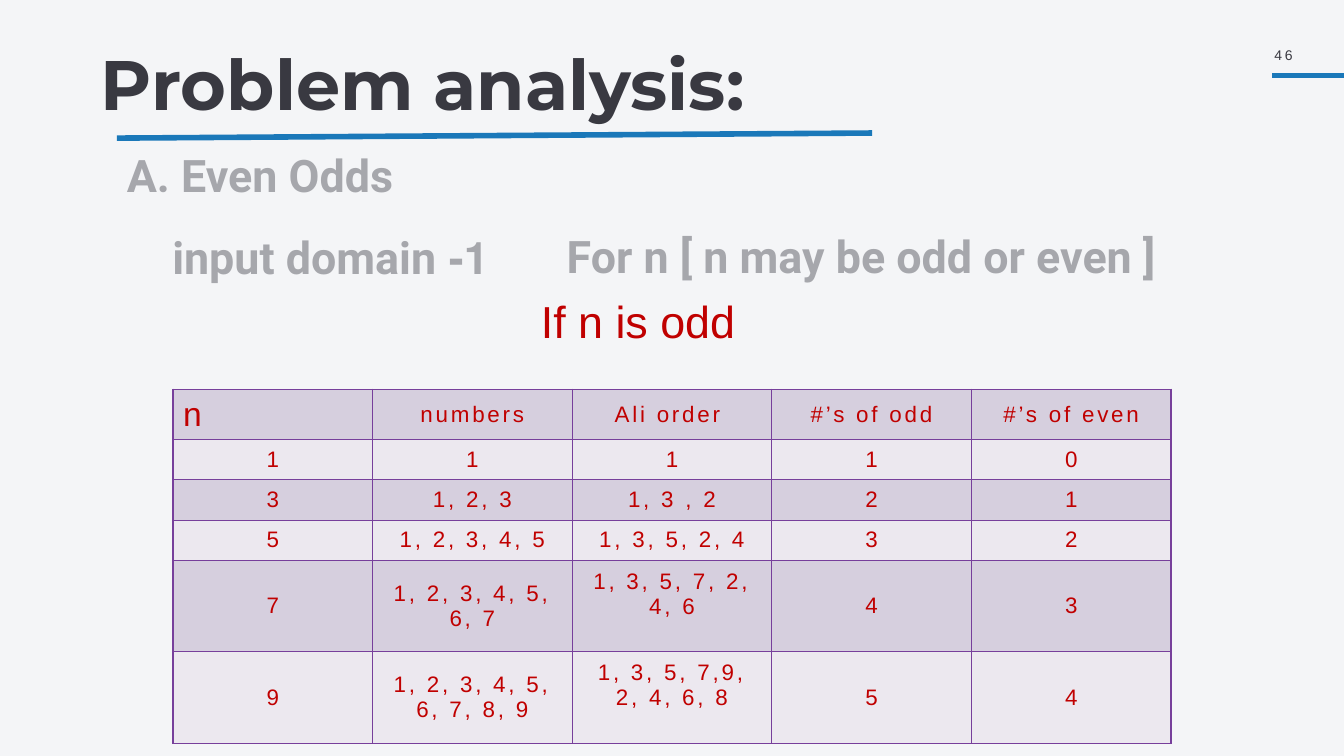
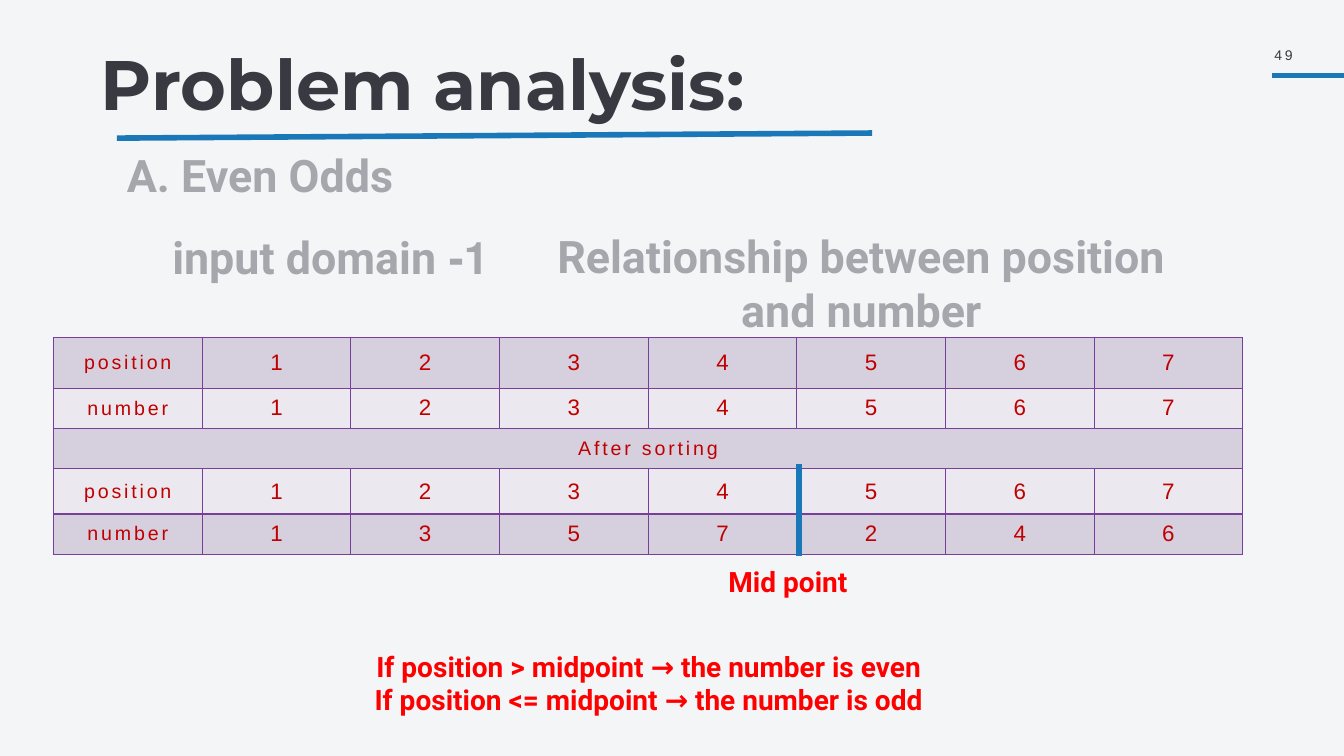
import dataclasses

import lxml.etree
import pptx
import pptx.dml.color
import pptx.enum.shapes
import pptx.enum.text
import pptx.oxml.ns
import pptx.util

ALIGN = pptx.enum.text.PP_ALIGN
ANCHOR = pptx.enum.text.MSO_ANCHOR
HEIGHT = pptx.util.Inches(7.5)
WIDTH = HEIGHT * 16 // 9
BLANK = 6


@dataclasses.dataclass(frozen=True)
class Style:
    name: str
    size: int
    color: str
    bold: bool = False
    spacing: int = 0


@dataclasses.dataclass(frozen=True)
class Theme:
    back: str = "F4F5F7"
    accent: str = "1A78B9"
    border: str = "773F9B"
    bands: tuple = ("D6CFDE", "ECE8EF")
    rule: int = 4
    title: Style = Style("Montserrat", 50, "393941", bold=True)
    number: Style = Style("Arial", 10, "393941", spacing=2)
    heading: Style = Style("Roboto", 32, "A6A7AC", bold=True)
    case: Style = Style("Arial", 32, "C00000")
    note: Style = Style("Roboto", 20, "FF0000", bold=True)
    cell: Style = Style("Arial", 16, "C00000", spacing=2)
    label: Style = Style("Arial", 14, "C00000", spacing=2)
    corner: Style = Style("Arial", 24, "C00000", spacing=2)


THEME = Theme()


def x(share):
    """Length for a percentage of the slide's width."""
    return round(WIDTH * share / 100)


def y(share):
    """Length for a percentage of the slide's height."""
    return round(HEIGHT * share / 100)


def rgb(color):
    return pptx.dml.color.RGBColor.from_string(color)


def set_all(obj, values):
    for name, value in values.items():
        setattr(obj, name, value)


def write(tf, lines, style, align=ALIGN.CENTER, rtl=False):
    for i, line in enumerate(lines):
        p = tf.add_paragraph() if i else tf.paragraphs[0]
        p.alignment = align
        if rtl:
            p._p.get_or_add_pPr().set("rtl", "1")
        r = p.add_run()
        r.text = line
        set_all(r.font, {"name": style.name, "bold": style.bold,
                         "size": pptx.util.Pt(style.size)})
        r.font.color.rgb = rgb(style.color)
        if style.spacing:
            r._r.get_or_add_rPr().set("spc", str(style.spacing * 100))


def add_text(slide, box, lines, style, inset=None, **layout):
    left, top, width, height = box
    tf = slide.shapes.add_textbox(x(left), y(top), x(width), y(height)).text_frame
    tf.word_wrap = True
    if inset is not None:
        sides = ("left", "top", "right", "bottom")
        set_all(tf, {f"margin_{side}": pptx.util.Inches(inset) for side in sides})
    write(tf, lines, style, **layout)
    return tf


def add_rule(slide, start, end):
    cn = slide.shapes.add_connector(
        pptx.enum.shapes.MSO_CONNECTOR.STRAIGHT,
        x(start[0]), y(start[1]), x(end[0]), y(end[1]))
    cn.line.color.rgb = rgb(THEME.accent)
    cn.line.width = pptx.util.Pt(THEME.rule)
    lxml.etree.SubElement(cn._element.spPr, pptx.oxml.ns.qn("a:effectLst"))


def add_borders(cell):
    qn = pptx.oxml.ns.qn
    tc_pr = cell._tc.get_or_add_tcPr()
    for i, side in enumerate(("lnL", "lnR", "lnT", "lnB")):
        ln = tc_pr.makeelement(qn(f"a:{side}"), {"w": str(pptx.util.Pt(1))})
        fill = lxml.etree.SubElement(ln, qn("a:solidFill"))
        lxml.etree.SubElement(fill, qn("a:srgbClr"), val=THEME.border)
        tc_pr.insert(i, ln)


def add_grid(slide, box, heights, rows, style_of):
    """Banded table with equal columns; a row of one text spans them all."""
    left, top, width = box
    n_cols = len(rows[0])
    table = slide.shapes.add_table(
        len(rows), n_cols, x(left), y(top), x(width), y(sum(heights))).table
    set_all(table, {"first_row": False, "horz_banding": False})
    for col in table.columns:
        col.width = x(width / n_cols)
    for i, (texts, height) in enumerate(zip(rows, heights)):
        table.rows[i].height = y(height)
        if len(texts) == 1:
            table.cell(i, 0).merge(table.cell(i, n_cols - 1))
        for j in range(n_cols):
            cell = table.cell(i, j)
            cell.vertical_anchor = ANCHOR.MIDDLE
            cell.fill.solid()
            cell.fill.fore_color.rgb = rgb(THEME.bands[i % 2])
            add_borders(cell)
            if j < len(texts):
                style, align = style_of(i, j)
                write(cell.text_frame, [texts[j]], style, align)
    return table


def add_frame(prs, number, topic, topic_height):
    """Blank slide with everything that the analysis slides share."""
    slide = prs.slides.add_slide(prs.slide_layouts[BLANK])
    slide.background.fill.solid()
    slide.background.fill.fore_color.rgb = rgb(THEME.back)
    add_rule(slide, (94.67, 10), (100, 10))
    tf = add_text(slide, (7.35, 7.2, 58.36, 14.27), ["Problem analysis:"],
                  THEME.title, inset=0.02, align=ALIGN.LEFT)
    tf.paragraphs[0].line_spacing = 0.8
    add_rule(slide, (8.7, 18.27), (64.89, 17.6))
    add_text(slide, (94.52, 5.6, 3.15, 3.33), [str(number)],
             THEME.number, inset=0.04, align=ALIGN.LEFT)
    add_text(slide, (8.7, 18.93, 50.79, 8.53), ["A. Even Odds"],
             THEME.heading, align=ALIGN.LEFT)
    add_text(slide, (38.7, 29.6, 50.79, topic_height), [topic], THEME.heading)
    add_text(slide, (-0.8, 29.73, 50.79, 8.53), ["1- input domain"],
             THEME.heading, rtl=True)
    return slide


def odd_style(row, col):
    if (row, col) == (0, 0):
        return THEME.corner, ALIGN.LEFT
    return THEME.cell, ALIGN.CENTER


def position_style(row, col):
    return (THEME.cell if col else THEME.label), ALIGN.CENTER


def add_odd_slide(prs):
    slide = add_frame(prs, 46, "For n [ n may be odd or even ]", 8.53)
    add_text(slide, (14.78, 38.2, 65.42, 8.53), ["If n is odd"], THEME.case)
    rows = [
        ("n", "numbers", "Ali order ", "#’s of odd", "#’s of even"),
        ("1", "1", "1", "1", "0"),
        ("3", "1, 2, 3", "1, 3 , 2", "2", "1"),
        ("5", "1, 2, 3, 4, 5", "1, 3, 5, 2, 4", "3", "2"),
        ("7", "1, 2, 3, 4, 5, 6, 7", "1, 3, 5, 7, 2, 4, 6", "4", "3"),
        ("9", "1, 2, 3, 4, 5, 6, 7, 8, 9", "1, 3, 5, 7,9, 2, 4, 6, 8", "5", "4"),
    ]
    heights = (6.67, 5.33, 5.33, 5.33, 12.1, 12.1)
    table = add_grid(slide, (12.87, 51.47, 74.27), heights, rows, odd_style)
    for row in (4, 5):
        table.cell(row, 2).margin_bottom = pptx.util.Inches(0.29)


def add_position_slide(prs):
    slide = add_frame(prs, 49, "Relationship between position and number", 15.73)
    rows = [
        ("position", *"1234567"),
        ("number", *"1234567"),
        ("After sorting",),
        ("position", *"1234567"),
        ("number", *"1357246"),
    ]
    heights = (6.67, 5.33, 5.33, 6, 5.33)
    add_grid(slide, (3.98, 44.67, 88.5), heights, rows, position_style)
    add_rule(slide, (59.45, 61.33), (59.45, 73.6))
    add_text(slide, (33.23, 74, 50.79, 5.87), ["Mid point"], THEME.note)
    add_text(slide, (22.88, 85.2, 50.79, 14.8),
             ["If position > midpoint → the number is even",
              "If position <= midpoint → the number is odd"], THEME.note)


def main():
    prs = pptx.Presentation()
    set_all(prs, {"slide_width": WIDTH, "slide_height": HEIGHT})
    add_odd_slide(prs)
    add_position_slide(prs)
    prs.save("out.pptx")


if __name__ == "__main__":
    main()
